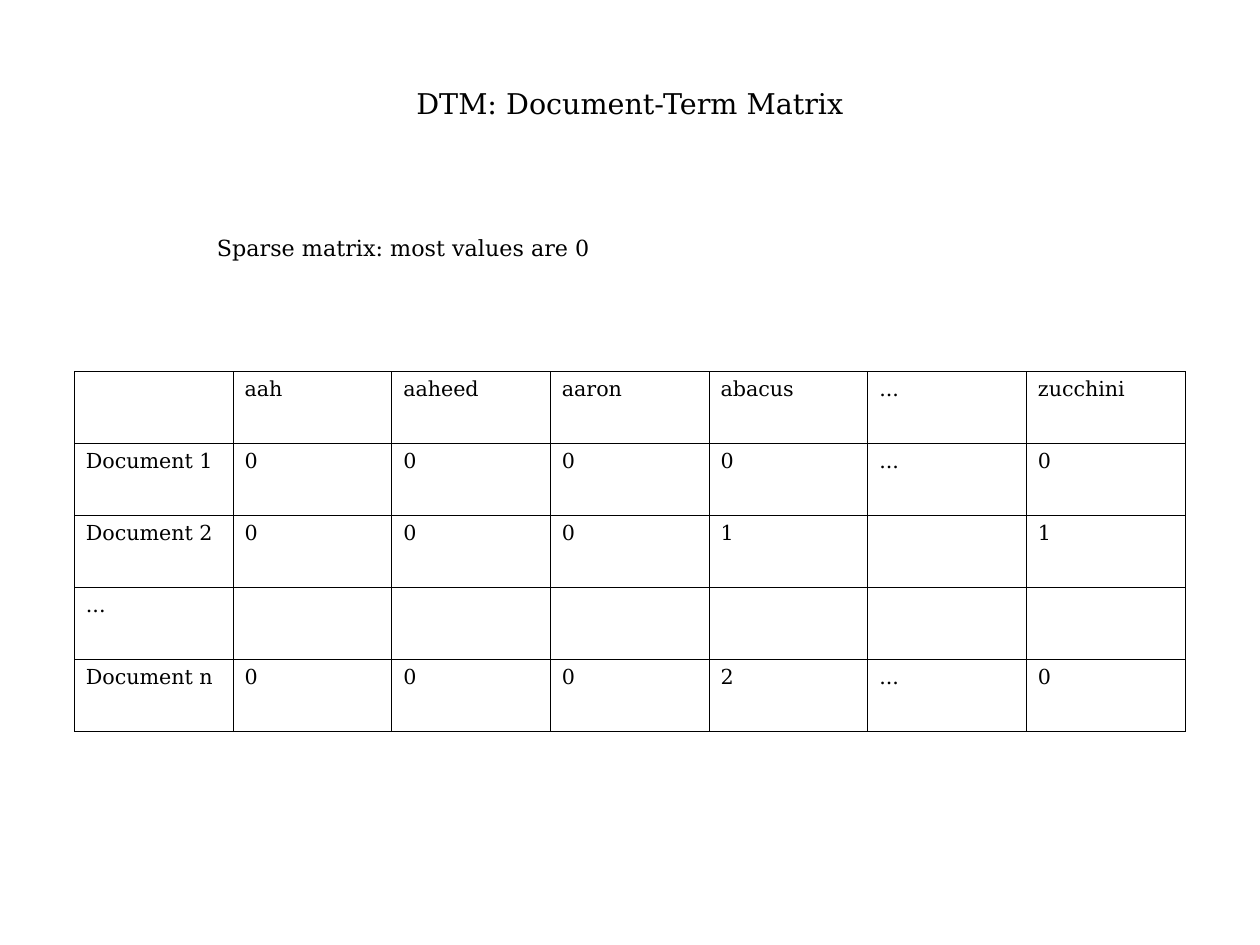
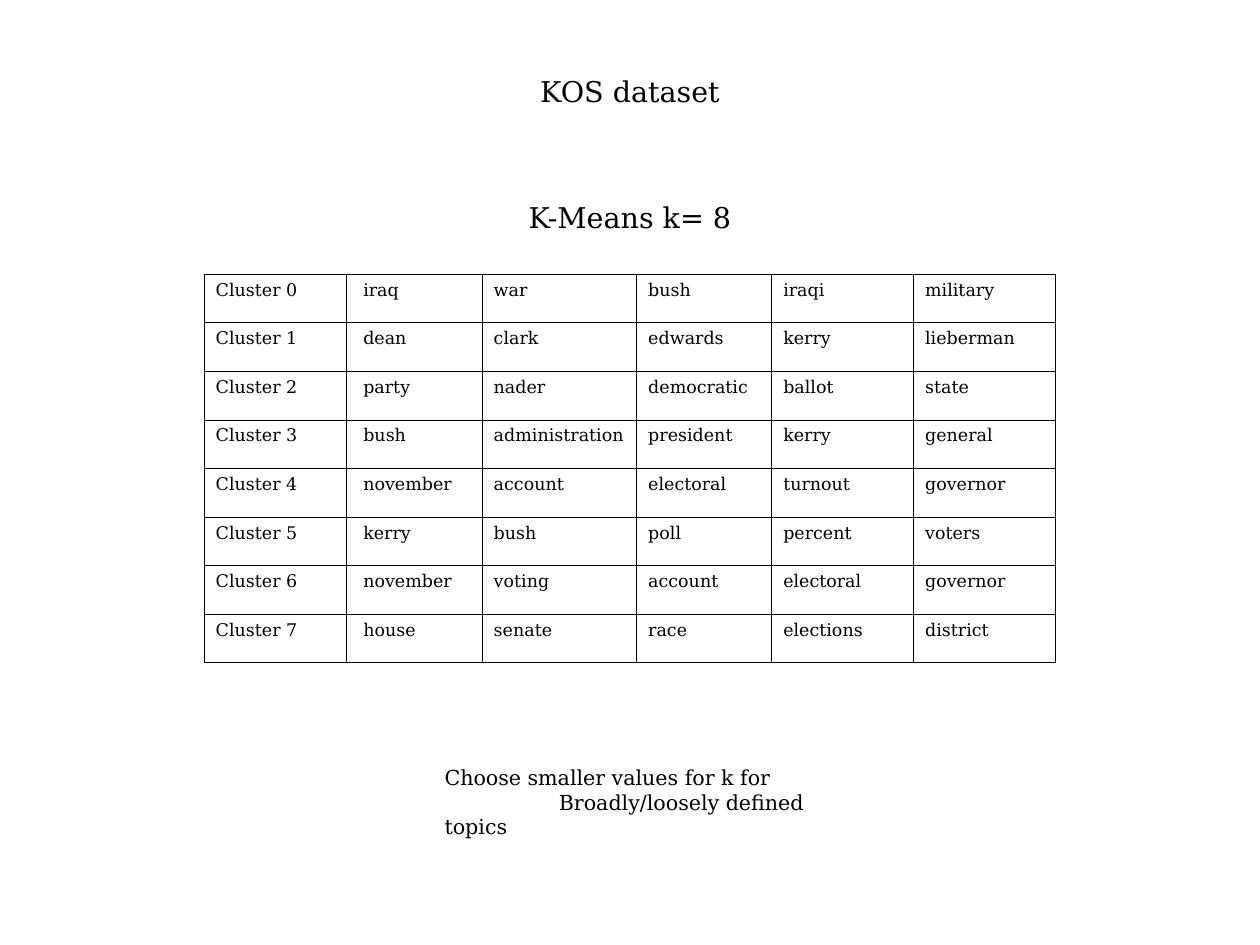
from collections import namedtuple

from lxml import etree
from pptx import Presentation, util as u
from pptx.dml.color import RGBColor
from pptx.enum import text
from pptx.oxml.ns import qn

FONT = "DejaVu Serif"
INK = "000000"
BORDER_POINTS = 0.57
HEADING_SIZE = 18
SLIDE_WIDTH, SLIDE_HEIGHT = u.Cm(28), u.Cm(21)
MODULE = u.Inches(0.1)
GRID_COLUMNS = SLIDE_WIDTH / MODULE
TITLE_ONLY = 5

Box = namedtuple("Box", "left top width height")

TERM_ROWS = [
    ["", "aah", "aaheed", "aaron", "abacus", "...", "zucchini"],
    ["Document 1", "0", "0", "0", "0", "...", "0"],
    ["Document 2", "0", "0", "0", "1", "", "1"],
    ["...", "", "", "", "", "", ""],
    ["Document n", "0", "0", "0", "2", "...", "0"],
]
CLUSTER_WORDS = [
    ["iraq", "war", "bush", "iraqi", "military"],
    ["dean", "clark", "edwards", "kerry", "lieberman"],
    ["party", "nader", "democratic", "ballot", "state"],
    ["bush", "administration", "president", "kerry", "general"],
    ["november", "account", "electoral", "turnout", "governor"],
    ["kerry", "bush", "poll", "percent", "voters"],
    ["november", "voting", "account", "electoral", "governor"],
    ["house", "senate", "race", "elections", "district"],
]
CLUSTER_WIDTHS = [12.4, 11.9, 13.5, 11.8, 12.4, 12.4]


def grid(count):
    return u.Emu(round(count * MODULE))


def centred(top, width, height):
    return Box((GRID_COLUMNS - width) / 2, top, width, height)


def color(value):
    return RGBColor.from_string(value)


def style_text(frame, size, align=text.PP_ALIGN.LEFT):
    for paragraph in frame.paragraphs:
        paragraph.alignment = align
        for run in paragraph.runs:
            run.font.name = FONT
            run.font.size = u.Pt(size)
            run.font.color.rgb = color(INK)


def add_title(slide, box, words):
    title = slide.shapes.title
    title.left, title.top, title.width, title.height = map(grid, box)
    frame = title.text_frame
    frame.text = words
    frame.word_wrap = True
    frame.auto_size = text.MSO_AUTO_SIZE.NONE
    frame.vertical_anchor = text.MSO_ANCHOR.TOP
    style_text(frame, HEADING_SIZE, text.PP_ALIGN.CENTER)


def add_text(slide, box, words, size, align=text.PP_ALIGN.LEFT):
    frame = slide.shapes.add_textbox(*map(grid, box)).text_frame
    frame.text = words
    frame.word_wrap = True
    style_text(frame, size, align)
    return frame


def add_borders(cell):
    properties = cell._tc.get_or_add_tcPr()
    for side in ("a:lnL", "a:lnR", "a:lnT", "a:lnB"):
        line = etree.SubElement(properties, qn(side), w=str(u.Pt(BORDER_POINTS)))
        fill = etree.SubElement(line, qn("a:solidFill"))
        etree.SubElement(fill, qn("a:srgbClr"), val=INK)


def add_grid_table(slide, box, rows, widths, size, indents=None):
    table = slide.shapes.add_table(len(rows), len(widths), *map(grid, box)).table
    table.first_row = table.horz_banding = False
    for column, width in zip(table.columns, widths):
        column.width = grid(box.width * width / sum(widths))
    for row_index, row in enumerate(rows):
        for column_index, words in enumerate(row):
            cell = table.cell(row_index, column_index)
            cell.text = words
            cell.margin_left = grid((indents or {}).get(column_index, 1))
            add_borders(cell)
            cell.fill.background()
            style_text(cell.text_frame, size)


def add_slide(presentation, title_box, title):
    slide = presentation.slides.add_slide(presentation.slide_layouts[TITLE_ONLY])
    add_title(slide, title_box, title)
    return slide


def build_matrix_slide(presentation):
    slide = add_slide(presentation, centred(7, 41, 3.9), "DTM: Document-Term Matrix")
    add_grid_table(slide, centred(32.5, 97.2, 31.5), TERM_ROWS, [1] * 7, 13)
    add_text(slide, Box(18, 20, 36, 3.3), "Sparse matrix: most values are 0", 14)


def build_cluster_slide(presentation):
    slide = add_slide(presentation, centred(6, 19, 3.9), "KOS dataset")
    rows = [[f"Cluster {index}", *words] for index, words in enumerate(CLUSTER_WORDS)]
    add_grid_table(slide, centred(24, 74.5, 34), rows, CLUSTER_WIDTHS, 11, {1: 1.5})
    add_text(slide, centred(17, 21, 3.9), "K-Means k= 8", HEADING_SIZE,
             text.PP_ALIGN.CENTER)
    advice = add_text(slide, centred(66.4, 34.4, 5.2),
                      "Choose smaller values for k for\nBroadly/loosely defined topics", 13)
    properties = advice.paragraphs[1]._p.get_or_add_pPr()
    properties.set("marL", "0")
    properties.set("indent", str(grid(10)))


def main():
    presentation = Presentation()
    presentation.slide_width = SLIDE_WIDTH
    presentation.slide_height = SLIDE_HEIGHT
    build_matrix_slide(presentation)
    build_cluster_slide(presentation)
    presentation.save("out.pptx")


if __name__ == "__main__":
    main()
